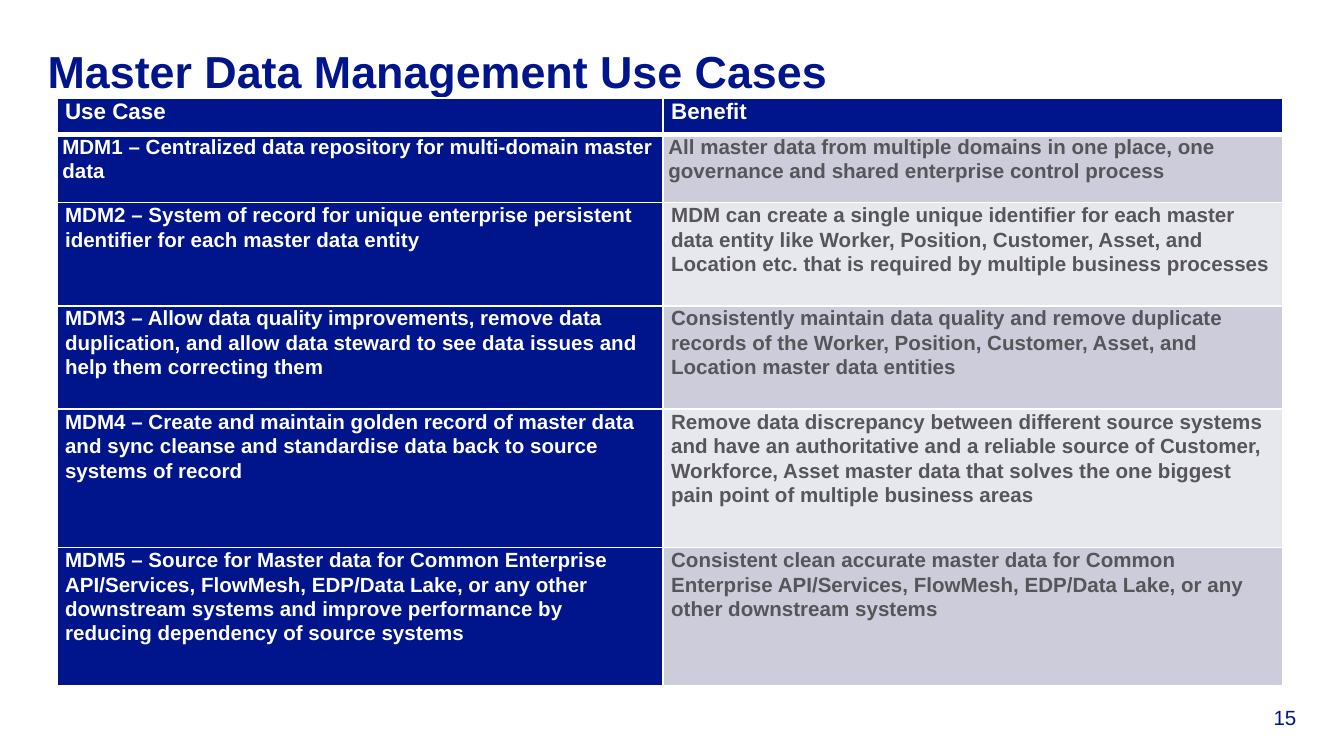
from lxml.etree import SubElement
from pptx import Presentation
from pptx.dml.color import RGBColor
from pptx.enum.text import MSO_ANCHOR, PP_ALIGN
from pptx.oxml.ns import qn
from pptx.util import Pt

NAVY = RGBColor(0x00, 0x14, 0x8C)
WHITE = RGBColor(0xFF, 0xFF, 0xFF)
GREY = RGBColor(0x55, 0x55, 0x5A)
BAND_DARK = RGBColor(0xCC, 0xCC, 0xDA)
BAND_LIGHT = RGBColor(0xE7, 0xE7, 0xEE)

TITLE = "Master Data Management Use Cases"
PAGE = "15"
USE_CASES = [
    ("Use Case", "Benefit"),
    ("MDM1 – Centralized data repository for multi-domain master data",
     "All master data from multiple domains in one place, one governance and shared "
     "enterprise control process"),
    ("MDM2 – System of record for unique enterprise persistent identifier for each "
     "master data entity",
     "MDM can create a single unique identifier for each master data entity like Worker, "
     "Position, Customer, Asset, and Location etc. that is required by multiple business "
     "processes"),
    ("MDM3 – Allow data quality improvements, remove data duplication, and allow data "
     "steward to see data issues and help them correcting them",
     "Consistently maintain data quality and remove duplicate records of the Worker, "
     "Position, Customer, Asset, and Location master data entities"),
    ("MDM4 – Create and maintain golden record of master data and sync cleanse and "
     "standardise data back to source systems of record",
     "Remove data discrepancy between different source systems and have an authoritative "
     "and a reliable source of Customer, Workforce, Asset master data that solves the one "
     "biggest pain point of multiple business areas"),
    ("MDM5 – Source for Master data for Common Enterprise API/Services, FlowMesh, "
     "EDP/Data Lake, or any other downstream systems and improve performance by reducing "
     "dependency of source systems",
     "Consistent clean accurate master data for Common Enterprise API/Services, FlowMesh, "
     "EDP/Data Lake, or any other downstream systems"),
]
COLUMN_WIDTHS = [324.7, 331.9]
ROW_HEIGHTS = [19.5, 36.7, 55.3, 55.3, 74.2, 74.2]


def style(paragraph, size, color, bold):
    font = paragraph.font
    font.name, font.size, font.bold = "Arial", Pt(size), bold
    font.color.rgb = color


def set_frame(frame, anchor):
    frame.margin_left = frame.margin_right = frame.margin_top = frame.margin_bottom = 0
    frame.word_wrap = True
    frame.vertical_anchor = anchor


def add_borders(cell, widths):
    properties = cell._tc.get_or_add_tcPr()
    for position, (side, width) in enumerate(widths.items()):
        line = SubElement(properties, qn(f"a:ln{side}"), w=str(Pt(width)))
        fill = SubElement(line, qn("a:solidFill"))
        SubElement(fill, qn("a:srgbClr"), val=str(WHITE))
        properties.insert(position, line)


def fill_cell(cell, text, row, column):
    header = row == 0
    dark = header or column == 0
    band = BAND_DARK if row % 2 else BAND_LIGHT
    cell.fill.solid()
    cell.fill.fore_color.rgb = NAVY if dark else band
    cell.margin_left = cell.margin_right = Pt(3 if row == 1 else 4.5)
    cell.margin_top = cell.margin_bottom = 0
    cell.text = text
    paragraph = cell.text_frame.paragraphs[0]
    paragraph.line_spacing = 1.07
    style(paragraph, 12 if header else 11, WHITE if dark else GREY, True)
    add_borders(cell, {"L": 1, "R": 1, "T": 3 if row == 1 else 1, "B": 3 if header else 1})


def main():
    deck = Presentation()
    deck.slide_width, deck.slide_height = Pt(720), Pt(405)
    slide = deck.slides.add_slide(deck.slide_layouts[5])

    title = slide.shapes.title
    title.left, title.top, title.width, title.height = Pt(25.5), Pt(21), Pt(669), Pt(34)
    title.text = TITLE
    set_frame(title.text_frame, MSO_ANCHOR.MIDDLE)
    heading = title.text_frame.paragraphs[0]
    heading.alignment = PP_ALIGN.LEFT
    style(heading, 24, NAVY, True)

    table = slide.shapes.add_table(
        len(USE_CASES), len(COLUMN_WIDTHS), Pt(30.4), Pt(52.4),
        Pt(sum(COLUMN_WIDTHS)), Pt(sum(ROW_HEIGHTS))).table
    for column, width in zip(table.columns, COLUMN_WIDTHS):
        column.width = Pt(width)
    for row, height in zip(table.rows, ROW_HEIGHTS):
        row.height = Pt(height)
    for row, texts in enumerate(USE_CASES):
        for column, text in enumerate(texts):
            fill_cell(table.cell(row, column), text, row, column)

    page = slide.shapes.add_textbox(Pt(652.5), Pt(377.5), Pt(42), Pt(13.5))
    set_frame(page.text_frame, MSO_ANCHOR.BOTTOM)
    page.text_frame.text = PAGE
    number = page.text_frame.paragraphs[0]
    number.alignment = PP_ALIGN.RIGHT
    style(number, 11, NAVY, False)

    deck.save("out.pptx")


if __name__ == "__main__":
    main()
